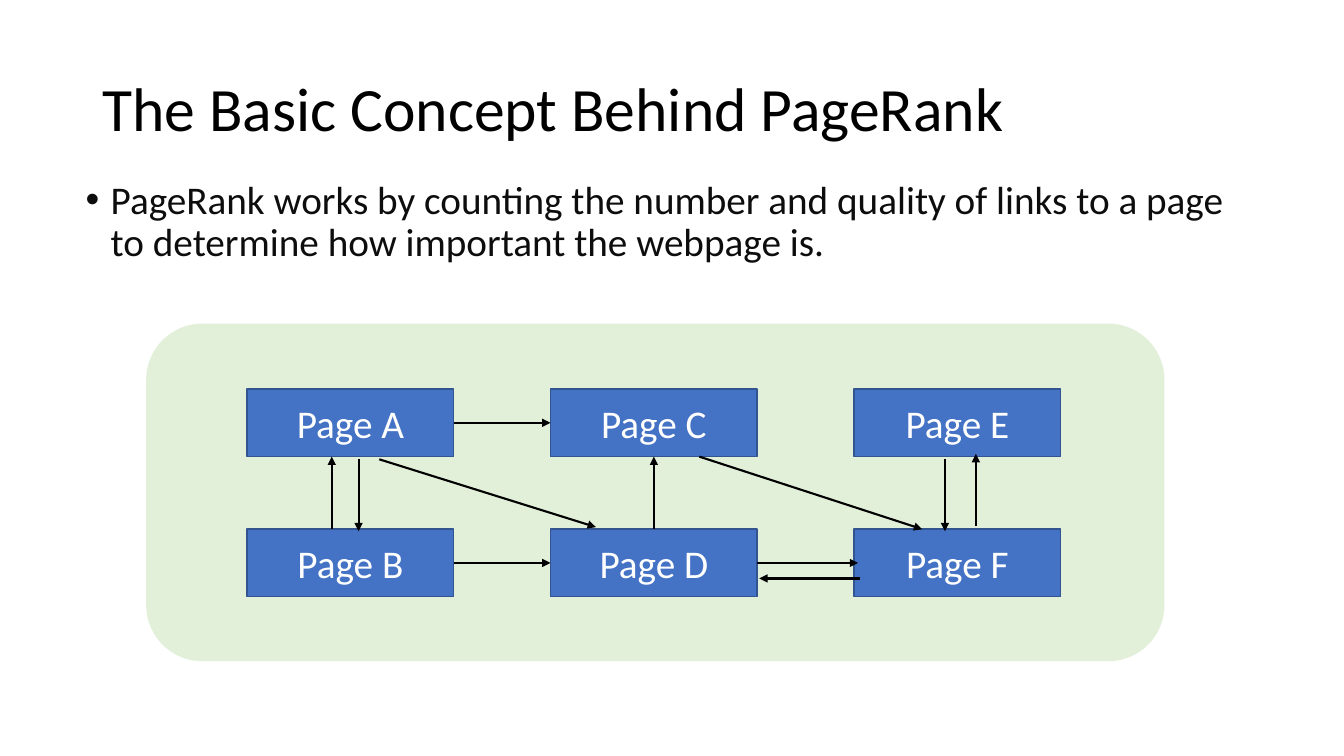
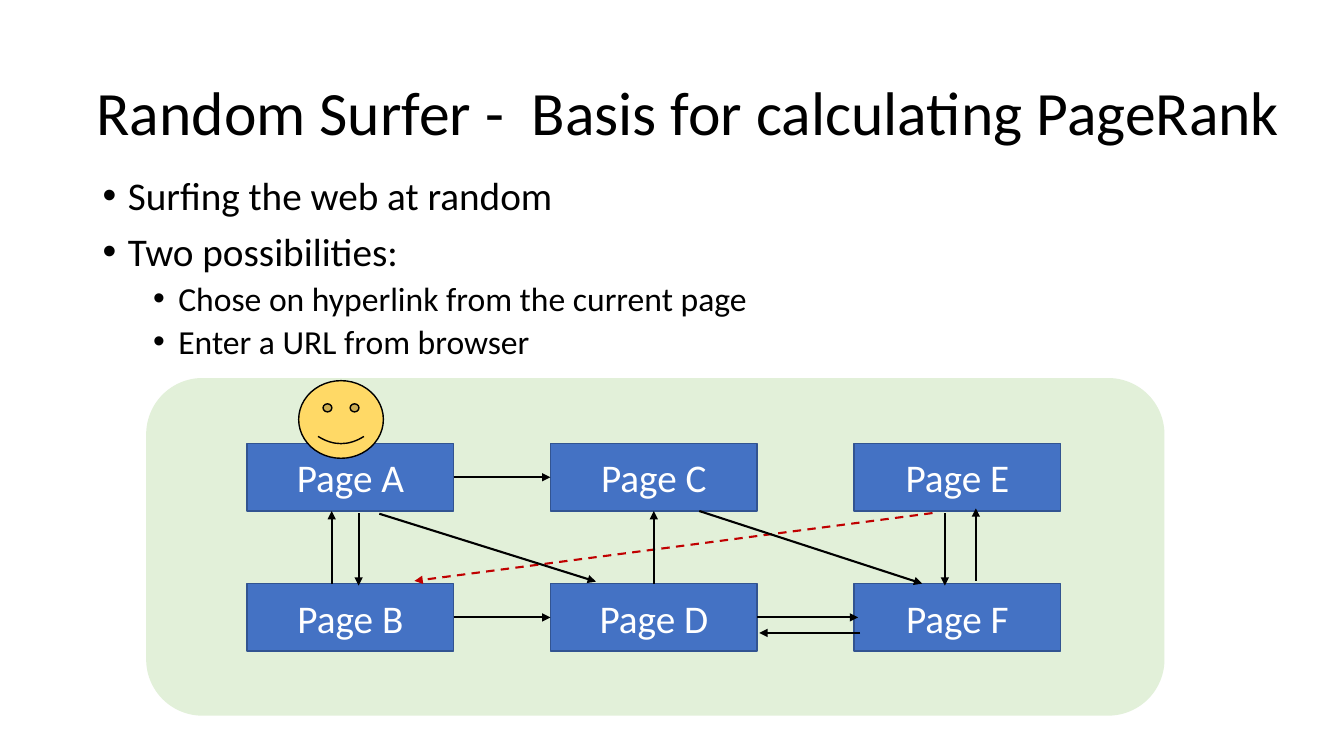
from pptx import Presentation
from pptx.dml.color import RGBColor
from pptx.enum.dml import MSO_LINE
from pptx.enum.shapes import MSO_CONNECTOR, MSO_SHAPE
from pptx.enum.text import MSO_ANCHOR, PP_ALIGN
from pptx.oxml.ns import qn
from pptx.util import Inches, Pt
from lxml import etree

RECT, ROUND = MSO_SHAPE.RECTANGLE, MSO_SHAPE.ROUNDED_RECTANGLE
FACE = MSO_SHAPE.SMILEY_FACE
STRAIGHT = MSO_CONNECTOR.STRAIGHT
DASH = MSO_LINE.DASH
MIDDLE, TOP = MSO_ANCHOR.MIDDLE, MSO_ANCHOR.TOP
CENTER = PP_ALIGN.CENTER

BLACK = RGBColor(0x00, 0x00, 0x00)
INK = RGBColor(0x0D, 0x0D, 0x0D)
WHITE = RGBColor(0xFF, 0xFF, 0xFF)
GREEN = RGBColor(0xE2, 0xF0, 0xD9)
BLUE = RGBColor(0x44, 0x72, 0xC4)
NAVY = RGBColor(0x32, 0x54, 0x91)
RED = RGBColor(0xC0, 0x00, 0x00)
YELLOW = RGBColor(0xFF, 0xD9, 0x66)

FONT = "Calibri"
TITLE = {"size": Pt(44), "name": FONT}
LABEL = {"size": Pt(28), "name": FONT}
LEVELS = [  # font size, space before, left indent
    (Pt(28), Pt(10), Inches(0.25)),
    (Pt(24), Pt(5), Inches(0.75)),
]

# Web graph grid, in inches from the panel's corner
PANEL_X, PANEL_W, PANEL_H = 1.45, 10.1, 3.35
PAGE_X, PAGE_Y = 1, 0.65
PAGE_W, PAGE_H = 2.05, 0.67
COL, ROW = 3.01, 1.39
PAGES = {"A": (0, 0), "B": (0, 1), "C": (1, 0),
         "D": (1, 1), "E": (2, 0), "F": (2, 1)}

# Each end: page, then share of that page's width and height
LINKS = [
    (("B", 0.41, 0), ("A", 0.41, 1)),
    (("A", 0.54, 1.03), ("B", 0.54, 0.03)),
    (("A", 0.64, 1.04), ("D", 0.22, -0.03)),
    (("A", 1, 0.5), ("C", 0, 0.5)),
    (("B", 1, 0.5), ("D", 0, 0.5)),
    (("D", 0.5, 0), ("C", 0.5, 1)),
    (("C", 0.72, 1), ("F", 0.33, 0)),
    (("E", 0.44, 1.03), ("F", 0.44, 0.03)),
    (("F", 0.59, -0.04), ("E", 0.59, 0.96)),
    (("D", 1, 0.5), ("F", 0.02, 0.5)),
    (("F", 0.03, 0.73), ("D", 1.01, 0.73)),
]
JUMP = (("E", 0.38, 1.03), ("B", 0.81, -0.04))


def style(item, values):
    """Set every attribute in values on item."""
    for key, value in values.items():
        setattr(item, key, value)


def write(para, text, look, color):
    """Put one run of styled text in a paragraph."""
    run = para.add_run()
    run.text = text
    style(run.font, look)
    run.font.color.rgb = color


def add_frame(slide, box, anchor):
    """Add a wrapping text box and return its frame."""
    frame = slide.shapes.add_textbox(*map(Inches, box)).text_frame
    style(frame, {"word_wrap": True, "vertical_anchor": anchor})
    return frame


def add_title(slide, box, text):
    """Place the slide title, centred on the box height."""
    para = add_frame(slide, box, MIDDLE).paragraphs[0]
    para.line_spacing = 0.9
    write(para, text, TITLE, BLACK)


def add_list(slide, box, items, color):
    """Place bullets given as (level, text) pairs."""
    frame = add_frame(slide, box, TOP)
    for i, (level, text) in enumerate(items):
        para = frame.add_paragraph() if i else frame.paragraphs[0]
        size, gap, indent = LEVELS[level]
        style(para, {"level": level, "line_spacing": 0.9, "space_before": gap})
        props = para._p.get_or_add_pPr()
        props.set("marL", str(indent))
        props.set("indent", str(-Inches(0.25)))
        font = etree.SubElement(props, qn("a:buFont"))
        font.set("typeface", "Arial")
        etree.SubElement(props, qn("a:buChar")).set("char", "•")
        write(para, text, {"size": size, "name": FONT}, color)


def add_shape(shapes, kind, box, fill, line=None):
    """Add a flat filled shape, outlined if line is given."""
    shape = shapes.add_shape(kind, *map(Inches, box))
    shape.shadow.inherit = False
    shape.fill.solid()
    shape.fill.fore_color.rgb = fill
    if line is None:
        shape.line.fill.background()
    else:
        shape.line.color.rgb = line
        shape.line.width = Pt(1)
    return shape


def spot(top, page, across=0, down=0):
    """Return the point at a share of a page's box."""
    col, row = PAGES[page]
    return (PANEL_X + PAGE_X + col * COL + across * PAGE_W,
            top + PAGE_Y + row * ROW + down * PAGE_H)


def add_link(shapes, top, link, color=BLACK, dash=None):
    """Draw an arrow between two pages."""
    start, end = (spot(top, *point) for point in link)
    arrow = shapes.add_connector(STRAIGHT, *map(Inches, start + end))
    arrow.line.color.rgb = color
    style(arrow.line, {"width": Pt(1.5), "dash_style": dash})
    tail = etree.SubElement(arrow.line._get_or_add_ln(), qn("a:tailEnd"))
    tail.set("type", "triangle")
    etree.SubElement(arrow._element.spPr, qn("a:effectLst"))


def add_graph(slide, top, jump=False):
    """Draw the linked pages on a green panel, with a jump if asked."""
    shapes = slide.shapes.add_group_shape().shapes
    add_shape(shapes, ROUND, (PANEL_X, top, PANEL_W, PANEL_H), GREEN)
    for page in PAGES:
        box = spot(top, page) + (PAGE_W, PAGE_H)
        shape = add_shape(shapes, RECT, box, BLUE, NAVY)
        shape.text_frame.vertical_anchor = MIDDLE
        para = shape.text_frame.paragraphs[0]
        para.alignment = CENTER
        write(para, f"Page {page}", LABEL, WHITE)
    if jump:
        add_link(shapes, top, JUMP, RED, DASH)
    for link in LINKS:
        add_link(shapes, top, link)


def add_surfer(slide, top):
    """Set the smiling surfer on Page A."""
    box = spot(top, "A", 0.25, -0.93) + (0.84, 0.77)
    add_shape(slide.shapes, FACE, box, YELLOW, BLACK)


def concept(slide):
    """Build the slide on the basic concept."""
    add_title(slide, (0.92, 0.38, 11.5, 1.45),
              "The Basic Concept Behind PageRank")
    add_list(slide, (0.75, 1.74, 11.5, 4.76), [
        (0, "PageRank works by counting the number and quality of links "
            "to a page to determine how important the webpage is. "),
    ], INK)
    add_graph(slide, 3.21)


def surfer(slide):
    """Build the slide on the random surfer."""
    top = 3.75
    add_title(slide, (0.86, 0.42, 11.97, 1.45),
              "Random Surfer - \u00a0Basis for calculating PageRank")
    add_list(slide, (0.92, 1.7, 11.5, 4.76), [
        (0, "Surfing the web at random"),
        (0, "Two possibilities:"),
        (1, "Chose on hyperlink from the current page"),
        (1, "Enter a URL from browser"),
    ], BLACK)
    add_graph(slide, top, jump=True)
    add_surfer(slide, top)


deck = Presentation()
style(deck, {"slide_width": Inches(13.33), "slide_height": Inches(7.5)})
for build in (concept, surfer):
    build(deck.slides.add_slide(deck.slide_layouts[6]))
deck.save("out.pptx")
